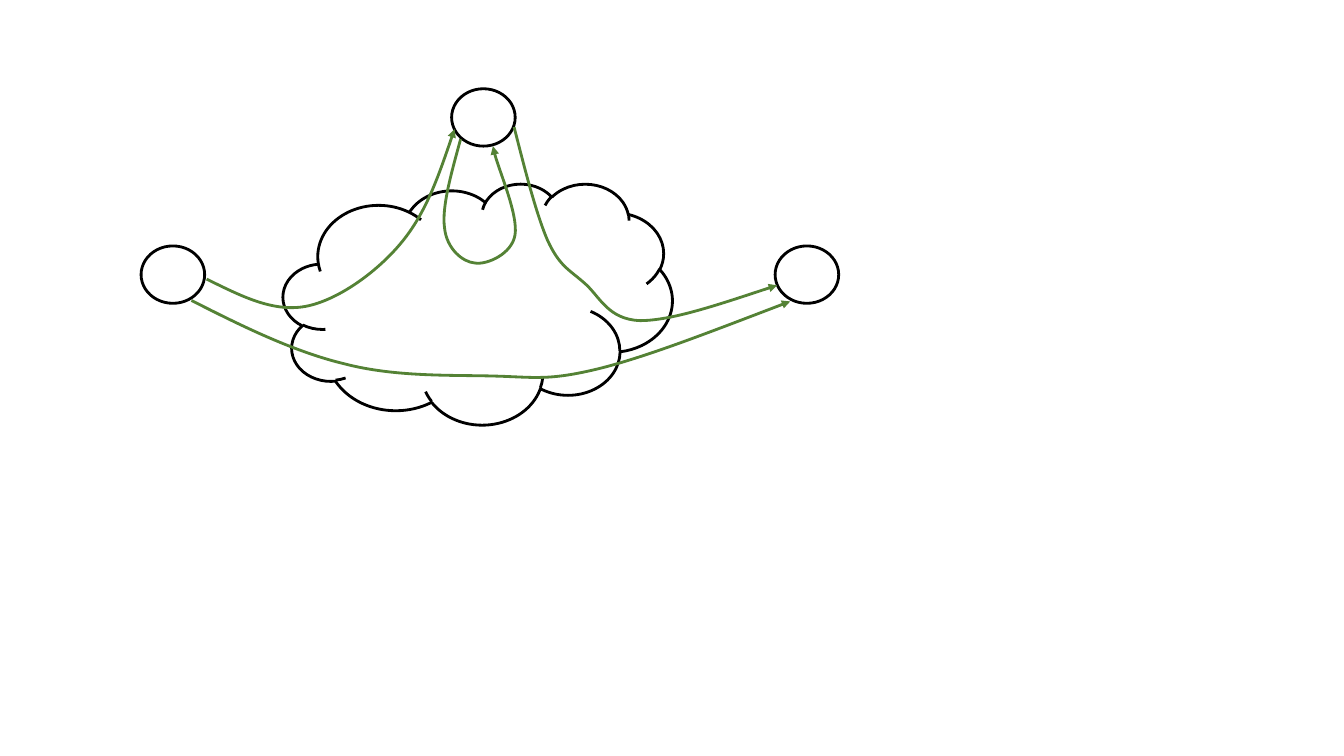
from lxml import etree
from pptx import Presentation
from pptx.dml.color import RGBColor
from pptx.enum.shapes import MSO_SHAPE
from pptx.oxml.ns import qn
from pptx.util import Pt

ELLIPSE = MSO_SHAPE.OVAL
CLOUD = MSO_SHAPE.CLOUD
COLORS = {"outline": "000000", "route": "548235"}
PAGE_SIZE = (960, 540)
BLANK_LAYOUT = 6
LINE_WIDTH = 2
CURVE_STEPS = 24

NODE_SIZE = (45.4, 41)
NODES = {
    "source": (100.8, 175.7),
    "destination": (553.7, 175.7),
    "controller": (322.6, 63.4),
}
NETWORK = (202.3, 131, 277.9, 172.1)

ROUTES = {
    "source to controller": [
        (147.6, 199.4),
        (171.4, 211), (194.4, 223.2), (218.2, 218.9),
        (241.2, 214.6), (269.3, 194.4), (286.6, 173.5),
        (304.6, 151.9), (314.6, 121.7), (324.7, 92.2),
    ],
    "controller loop": [
        (329, 99.4),
        (322.6, 123.1), (315.4, 147.6), (317.5, 162.7),
        (319, 177.8), (330.5, 187.2), (339.1, 187.9),
        (347.8, 189.4), (365.8, 181.4), (367.9, 167.8),
        (370.1, 153.4), (353.5, 115.2), (352.1, 104.4),
    ],
    "controller to destination": [
        (367.2, 90.7),
        (375.1, 121.7), (383, 152.6), (391, 171.4),
        (399.6, 190.1), (406.1, 192.2), (417.6, 202.3),
        (428.4, 211.7), (434.2, 228.2), (457.2, 229),
        (480.2, 229), (517.7, 216), (555.1, 203.8),
    ],
    "source to destination": [
        (136.8, 214.6),
        (173.5, 233.3), (210.2, 251.3), (246.2, 259.9),
        (282.2, 269.3), (321.8, 267.8), (352.1, 268.6),
        (381.6, 269.3), (391, 272.2), (427, 263.5),
        (462.2, 254.9), (513.4, 234.7), (564.5, 215.3),
    ],
}


def style_outline(shape, color):
    shape.shadow.inherit = False
    shape.fill.background()
    shape.line.color.rgb = RGBColor.from_string(color)
    shape.line.width = Pt(LINE_WIDTH)


def add_outline(page, kind, left, top, width, height):
    shape = page.shapes.add_shape(kind, Pt(left), Pt(top), Pt(width), Pt(height))
    style_outline(shape, COLORS["outline"])


def curve_point(corners, t):
    weights = ((1 - t) ** 3, 3 * t * (1 - t) ** 2, 3 * t * t * (1 - t), t ** 3)
    return tuple(
        Pt(sum(weight * corner[axis] for weight, corner in zip(weights, corners)))
        for axis in (0, 1)
    )


def add_route(page, points):
    segments = [points[i:i + 4] for i in range(0, len(points) - 1, 3)]
    samples = [
        curve_point(corners, step / CURVE_STEPS)
        for corners in segments
        for step in range(1, CURVE_STEPS + 1)
    ]
    builder = page.shapes.build_freeform(Pt(points[0][0]), Pt(points[0][1]))
    builder.add_line_segments(samples, close=False)
    shape = builder.convert_to_shape()
    style_outline(shape, COLORS["route"])

    outline = next(shape.element.iter(qn("a:path")))
    for line in outline.findall(qn("a:lnTo")):
        outline.remove(line)
    for corners in segments:
        curve = etree.SubElement(outline, qn("a:cubicBezTo"))
        for x, y in corners[1:]:
            etree.SubElement(
                curve, qn("a:pt"), x=str(Pt(x) - shape.left), y=str(Pt(y) - shape.top)
            )
    stroke = shape.element.spPr.find(qn("a:ln"))
    etree.SubElement(stroke, qn("a:tailEnd"), type="triangle")


def main():
    deck = Presentation()
    deck.slide_width, deck.slide_height = map(Pt, PAGE_SIZE)
    page = deck.slides.add_slide(deck.slide_layouts[BLANK_LAYOUT])
    add_outline(page, CLOUD, *NETWORK)
    for position in NODES.values():
        add_outline(page, ELLIPSE, *position, *NODE_SIZE)
    for points in ROUTES.values():
        add_route(page, points)
    deck.save("out.pptx")


if __name__ == "__main__":
    main()
